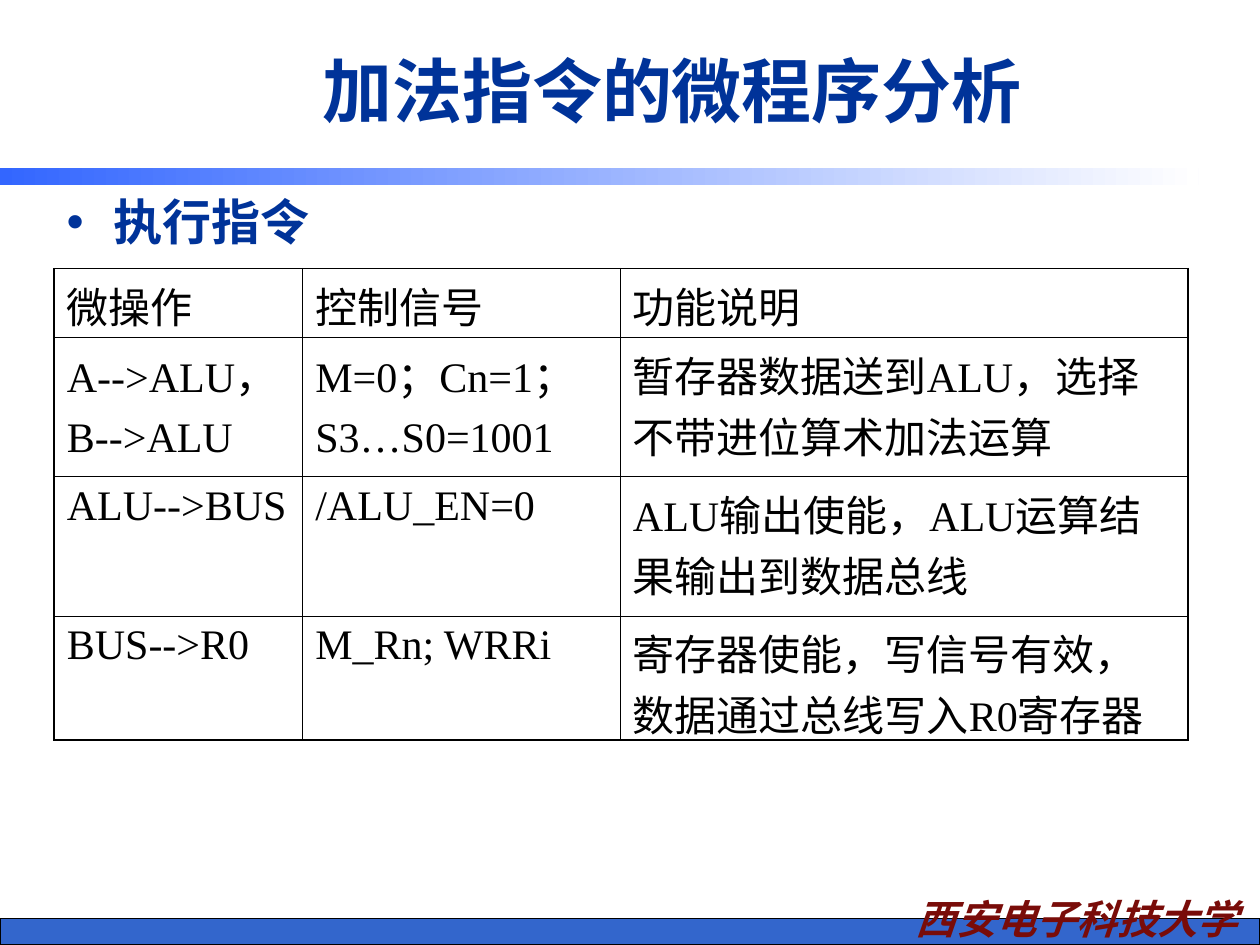
from lxml import etree
from pptx import Presentation
from pptx.dml.color import RGBColor
from pptx.enum.shapes import MSO_SHAPE
from pptx.enum.text import MSO_ANCHOR, PP_ALIGN
from pptx.oxml.ns import qn
from pptx.util import Pt

RECTANGLE = MSO_SHAPE.RECTANGLE
CENTER, LEFT = PP_ALIGN.CENTER, PP_ALIGN.LEFT
MIDDLE, TOP = MSO_ANCHOR.MIDDLE, MSO_ANCHOR.TOP

NAVY = RGBColor(0x00, 0x33, 0x99)
BAND_BLUE = RGBColor(0x33, 0x66, 0xCC)
RULE_BLUE = RGBColor(0x33, 0x66, 0xFF)
MAROON = RGBColor(0x79, 0x0C, 0x09)
BLACK = RGBColor(0, 0, 0)
WHITE = RGBColor(0xFF, 0xFF, 0xFF)

CJK_FONT = "Noto Sans CJK SC"
TITLE_FORMAT = {"size": Pt(40), "name": "Arial", "bold": True}
HEADING_FORMAT = {"size": Pt(28), "name": "Arial", "bold": True}
CELL_FORMAT = {"size": Pt(24), "name": "Times New Roman", "bold": False}
SCHOOL_FORMAT = {"size": Pt(23), "name": CJK_FONT, "bold": True, "italic": True}

OUTER_BORDER, INNER_BORDER = Pt(1.08), Pt(0.45)
COLUMN_WIDTHS = [142, 181.5, 324.5]
ROW_HEIGHTS = [39.5, 79.5, 79.5, 71]
MICRO_OPERATIONS = [
    ["微操作", "控制信号", "功能说明"],
    ["A-->ALU，\nB-->ALU", "M=0；Cn=1；\nS3…S0=1001",
     "暂存器数据送到ALU，选择不带进位算术加法运算"],
    ["ALU-->BUS", "/ALU_EN=0", "ALU输出使能，ALU运算结果输出到数据总线"],
    ["BUS-->R0", "M_Rn; WRRi", "寄存器使能，写信号有效，数据通过总线写入R0寄存器"],
]


def write_run(paragraph, text, font_format, color):
    run = paragraph.add_run()
    run.text = text
    run.font.color.rgb = color
    for attribute, value in font_format.items():
        setattr(run.font, attribute, value)
    east_asian = etree.SubElement(run.font._element, qn("a:ea"))
    east_asian.set("typeface", CJK_FONT)


def add_line_of_text(slide, box, text, font_format, color, align, anchor):
    frame = slide.shapes.add_textbox(*map(Pt, box)).text_frame
    frame.word_wrap = True
    frame.vertical_anchor = anchor
    paragraph = frame.paragraphs[0]
    paragraph.alignment = align
    write_run(paragraph, text, font_format, color)
    return paragraph


def add_bar(slide, box):
    bar = slide.shapes.add_shape(RECTANGLE, *map(Pt, box))
    bar.shadow.inherit = False
    return bar


def add_footer(slide, left, top, width, height):
    band = add_bar(slide, (left, top + 17.5, width, 15))
    band.fill.solid()
    band.fill.fore_color.rgb = BAND_BLUE
    band.line.color.rgb = BLACK
    band.line.width = Pt(0.75)
    add_line_of_text(slide, (left + width - 218, top, 227, height),
                     "西安电子科技大学", SCHOOL_FORMAT, MAROON, CENTER, TOP)


def add_header(slide, left, top, width, height):
    rule = add_bar(slide, (left, top + height - 10, width - 35, 10))
    rule.fill.gradient()
    rule.fill.gradient_angle = 0
    for stop, color in zip(rule.fill.gradient_stops, (RULE_BLUE, WHITE)):
        stop.color.rgb = color
    rule.line.fill.background()
    add_line_of_text(slide, (left + 96, top + 12, 576, 78),
                     "加法指令的微程序分析", TITLE_FORMAT, NAVY, CENTER, MIDDLE)


def add_heading(slide, left, top, width, height):
    paragraph = add_line_of_text(slide, (left, top, width, height),
                                 "执行指令", HEADING_FORMAT, NAVY, LEFT, TOP)
    properties = paragraph._p.get_or_add_pPr()
    properties.set("marL", str(Pt(27)))
    properties.set("indent", str(Pt(-27)))
    bullet_color = etree.SubElement(properties, qn("a:buClr"))
    etree.SubElement(bullet_color, qn("a:srgbClr")).set("val", str(NAVY))
    etree.SubElement(properties, qn("a:buFont")).set("typeface", "Arial")
    etree.SubElement(properties, qn("a:buChar")).set("char", "•")


def add_borders(cell, outer_sides):
    properties = cell._tc.get_or_add_tcPr()
    for side, is_outer in outer_sides.items():
        border = etree.SubElement(properties, qn(f"a:ln{side}"))
        border.set("w", str(OUTER_BORDER if is_outer else INNER_BORDER))
        fill = etree.SubElement(border, qn("a:solidFill"))
        etree.SubElement(fill, qn("a:srgbClr")).set("val", str(BLACK))


def add_operation_table(slide, left, top, width, height):
    row_count, column_count = len(ROW_HEIGHTS), len(COLUMN_WIDTHS)
    table = slide.shapes.add_table(
        row_count, column_count, *map(Pt, (left, top, width, height))).table
    table.first_row = table.horz_banding = False
    for column, column_width in zip(table.columns, COLUMN_WIDTHS):
        column.width = Pt(column_width)
    for row, row_height in zip(table.rows, ROW_HEIGHTS):
        row.height = Pt(row_height)
    for r, row_texts in enumerate(MICRO_OPERATIONS):
        for c, text in enumerate(row_texts):
            cell = table.cell(r, c)
            add_borders(cell, {"L": c == 0, "R": c == column_count - 1,
                               "T": r == 0, "B": r == row_count - 1})
            cell.fill.background()
            for i, line in enumerate(text.split("\n")):
                frame = cell.text_frame
                paragraph = frame.add_paragraph() if i else frame.paragraphs[0]
                if i:
                    paragraph.space_before = Pt(6)
                write_run(paragraph, line, CELL_FORMAT, BLACK)


def main():
    presentation = Presentation()
    presentation.slide_width, presentation.slide_height = Pt(720), Pt(540)
    slide = presentation.slides.add_slide(presentation.slide_layouts[6])
    add_footer(slide, 0, 507.5, 720, 35)
    add_header(slide, 0, 0, 720, 106)
    add_operation_table(slide, 31, 153.5, sum(COLUMN_WIDTHS), sum(ROW_HEIGHTS))
    add_heading(slide, 31, 106, 318, 356)
    presentation.save("out.pptx")


if __name__ == "__main__":
    main()
